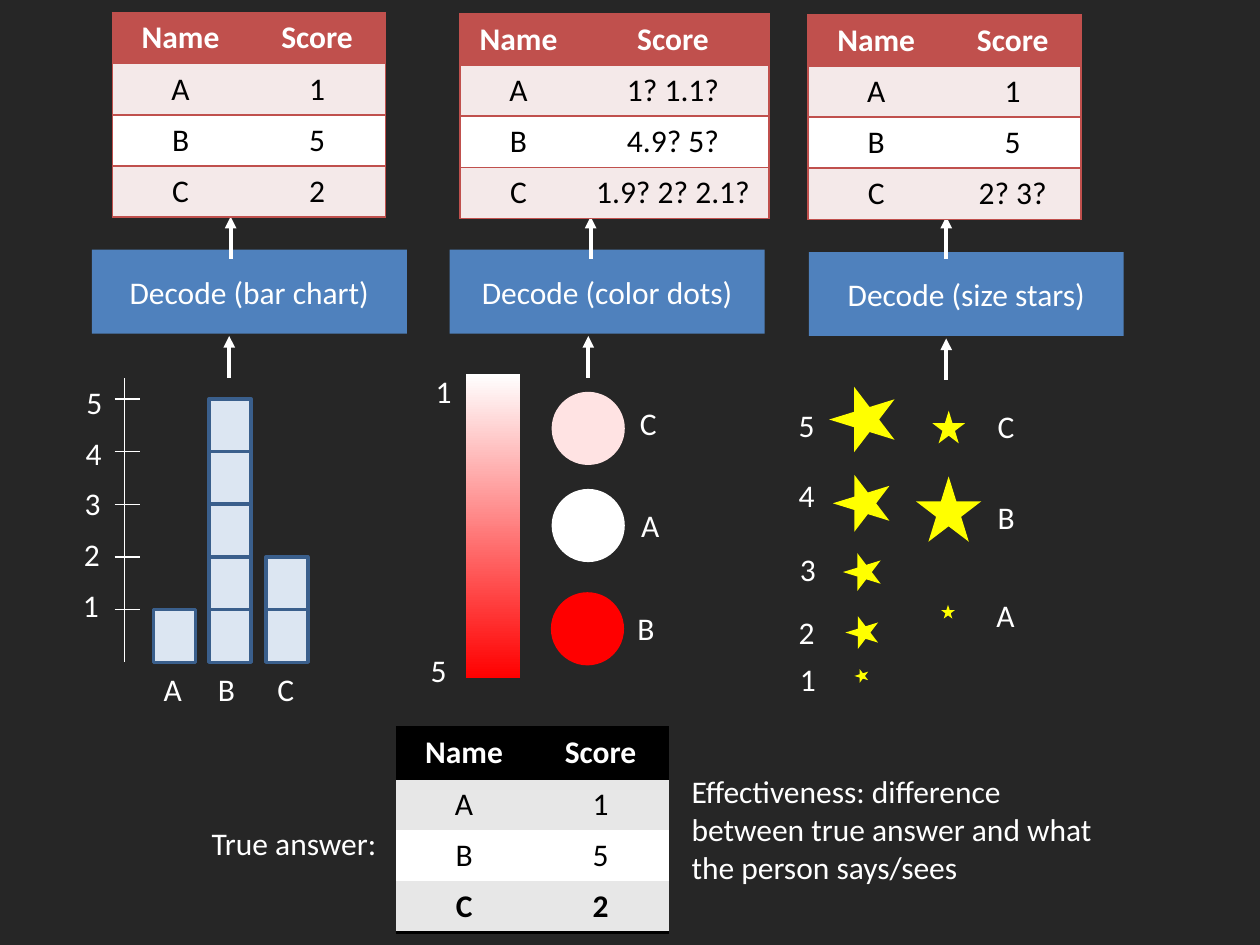
from dataclasses import dataclass
from typing import NamedTuple, Optional

from lxml import etree
from pptx import Presentation
from pptx.dml.color import RGBColor
from pptx.enum.shapes import MSO_CONNECTOR, MSO_SHAPE
from pptx.enum.text import MSO_ANCHOR, MSO_AUTO_SIZE, PP_ALIGN
from pptx.oxml.ns import qn
from pptx.util import Pt

RECTANGLE, OVAL, STAR = MSO_SHAPE.RECTANGLE, MSO_SHAPE.OVAL, MSO_SHAPE.STAR_5_POINT
STRAIGHT = MSO_CONNECTOR.STRAIGHT
LEFT, CENTER, MIDDLE = PP_ALIGN.LEFT, PP_ALIGN.CENTER, MSO_ANCHOR.MIDDLE
FIT_TEXT = MSO_AUTO_SIZE.SHAPE_TO_FIT_TEXT
NO_GRID_STYLE = "{2D5ABB26-0587-4C30-8999-92F81FD0307C}"


@dataclass(frozen=True)
class Theme:
    font: str = "Calibri"
    size: float = 18
    background: RGBColor = RGBColor(0x26, 0x26, 0x26)
    white: RGBColor = RGBColor(0xFF, 0xFF, 0xFF)
    black: RGBColor = RGBColor(0, 0, 0)
    blue: RGBColor = RGBColor(0x4F, 0x81, 0xBD)
    bar: RGBColor = RGBColor(0xDC, 0xE6, 0xF2)
    bar_edge: RGBColor = RGBColor(0x3A, 0x5F, 0x8C)
    red: RGBColor = RGBColor(0xFF, 0, 0)
    pink: RGBColor = RGBColor(0xFF, 0xE3, 0xE3)
    yellow: RGBColor = RGBColor(0xFF, 0xFF, 0)
    brick: RGBColor = RGBColor(0xC0, 0x50, 0x4D)
    brick_band: RGBColor = RGBColor(0xF4, 0xE9, 0xE9)
    gray_band: RGBColor = RGBColor(0xE7, 0xE7, 0xE7)


THEME = Theme()


class Label(NamedTuple):
    text: str
    left: float
    top: float


class Mark(NamedTuple):
    left: float
    top: float
    size: float
    color: RGBColor = THEME.yellow
    rotation: float = 0


@dataclass(frozen=True)
class ScoreTable:
    left: float
    top: float
    widths: tuple
    scores: tuple
    header: RGBColor = THEME.brick
    band: RGBColor = THEME.brick_band
    grid: bool = True
    bold_last: bool = False


@dataclass(frozen=True)
class Decoder:
    text: str
    left: float
    top: float
    arrow_in: float
    arrow_out: float


ROW_HEIGHT = 29.2
BASELINE, UNIT = 378.5, 30.1
BARS = ((87.8, 1), (119.5, 5), (151.9, 2))
DECODERS = (
    Decoder("Decode (bar chart)", 52.5, 142.6, 131, 131.8),
    Decoder("Decode (color dots)", 257, 142.6, 336.2, 337.5),
    Decoder("Decode (size stars)", 462.2, 144, 540.7, 540.7),
)
TABLES = (
    ScoreTable(64.2, 7.2, (78, 78), ("1", "5", "2")),
    ScoreTable(262.8, 8, (67, 109.6), ("1? 1.1?", "4.9? 5?", "1.9? 2? 2.1?")),
    ScoreTable(461.7, 8.5, (78, 78), ("1", "5", "2? 3?")),
    ScoreTable(226.2, 415.8, (78, 78), ("1", "5", "2"),
               THEME.black, THEME.gray_band, False, True),
)
DOTS = (
    Mark(315.2, 223.9, 41.8, THEME.pink),
    Mark(315.2, 279.4, 41.8, THEME.white),
    Mark(314.8, 338.4, 41.8, THEME.red),
)
STARS = (
    Mark(537.8, 345.6, 7.9), Mark(532.8, 234.7, 18.7), Mark(523.4, 272.2, 37.4),
    Mark(488.2, 382.3, 7.9, rotation=270), Mark(483.1, 352.1, 18.7, rotation=270),
    Mark(481.7, 316.1, 21.6, rotation=270), Mark(475.9, 271.4, 32.4, rotation=270),
    Mark(473.8, 221, 37.4, rotation=270),
)
LABELS = (
    Label("5", 239, 368.6), Label("1", 241.9, 208.8),
    Label("C", 358.6, 227.5), Label("A", 359.3, 285.8), Label("B", 357.1, 344.2),
    Label("C", 563, 229), Label("B", 563, 280.8), Label("A", 562.3, 337),
    Label("5", 449.3, 228.2), Label("4", 449.3, 268.6), Label("3", 450, 311),
    Label("2", 449.3, 347), Label("1", 450, 373.7),
)


def write_text(frame, text: str, *, color=THEME.white, bold=False, align=LEFT, tabs=()) -> None:
    paragraph = frame.paragraphs[0]
    paragraph.text = text
    paragraph.alignment = align
    if tabs:
        tab_list = etree.SubElement(paragraph._p.get_or_add_pPr(), qn("a:tabLst"))
        for stop in tabs:
            etree.SubElement(tab_list, qn("a:tab"), pos=str(int(Pt(stop))), algn="l")
    font = paragraph.runs[0].font if not tabs else paragraph.font
    font.name, font.size, font.bold = THEME.font, Pt(THEME.size), bold
    font.color.rgb = color


def add_label(slide, label: Label, width=24, height=29, wrap=False, tabs=()) -> None:
    box = slide.shapes.add_textbox(Pt(label.left), Pt(label.top), Pt(width), Pt(height))
    box.text_frame.word_wrap = wrap
    box.text_frame.auto_size = FIT_TEXT
    write_text(box.text_frame, label.text, tabs=tabs)


def add_figure(slide, kind, left, top, width, height, fill=None, edge=None):
    figure = slide.shapes.add_shape(kind, Pt(left), Pt(top), Pt(width), Pt(height))
    figure.shadow.inherit = False
    if fill is not None:
        figure.fill.solid()
        figure.fill.fore_color.rgb = fill
    if edge is None:
        figure.line.fill.background()
    else:
        figure.line.color.rgb = edge
        figure.line.width = Pt(2)
    return figure


def add_mark(slide, kind, mark: Mark) -> None:
    figure = add_figure(slide, kind, mark.left, mark.top, mark.size, mark.size, mark.color)
    figure.rotation = mark.rotation


def add_line(slide, x1, y1, x2, y2, width=0.75, arrow=False) -> None:
    line = slide.shapes.add_connector(STRAIGHT, Pt(x1), Pt(y1), Pt(x2), Pt(y2))
    line.line.color.rgb = THEME.white
    line.line.width = Pt(width)
    if arrow:
        etree.SubElement(line.line._get_or_add_ln(), qn("a:headEnd"), type="triangle")
    etree.SubElement(line._element.spPr, qn("a:effectLst"))


def add_border(cell, side: str, color: RGBColor, width: float) -> None:
    border = etree.SubElement(cell._tc.get_or_add_tcPr(), qn(f"a:ln{side}"), w=str(int(Pt(width))))
    fill = etree.SubElement(border, qn("a:solidFill"))
    etree.SubElement(fill, qn("a:srgbClr"), val=str(color))


def border_sides(spec_grid: bool, row: int, column: int, last: int) -> str:
    if spec_grid:
        return ("L" if column == 0 else "R") + "TB"
    return {0: "TB", last: "B"}.get(row, "")


def add_score_table(slide, scores: ScoreTable) -> None:
    rows = (("Name", "Score"), *zip("ABC", scores.scores))
    last = len(rows) - 1
    table = slide.shapes.add_table(len(rows), 2, Pt(scores.left), Pt(scores.top),
                                   Pt(sum(scores.widths)), Pt(ROW_HEIGHT * len(rows))).table
    table._tbl.tblPr.find(qn("a:tableStyleId")).text = NO_GRID_STYLE
    for column, width in zip(table.columns, scores.widths):
        column.width = Pt(width)
    for r, values in enumerate(rows):
        table.rows[r].height = Pt(ROW_HEIGHT)
        for c, value in enumerate(values):
            cell = table.cell(r, c)
            for side in border_sides(scores.grid, r, c, last):
                add_border(cell, side, scores.header, 1 if scores.grid else 2)
            cell.fill.solid()
            cell.fill.fore_color.rgb = (scores.header if r == 0 else
                                        scores.band if r % 2 else THEME.white)
            write_text(cell.text_frame, value, align=CENTER,
                       color=THEME.black if r else THEME.white,
                       bold=r == 0 or (scores.bold_last and r == last))


def add_decoder(slide, decoder: Decoder) -> None:
    box = add_figure(slide, RECTANGLE, decoder.left, decoder.top, 180, 48, THEME.blue)
    box.text_frame.vertical_anchor = MIDDLE
    write_text(box.text_frame, decoder.text, align=CENTER)
    below = decoder.top + 49.4
    add_line(slide, decoder.arrow_in, below, decoder.arrow_in, below + 24, 2.25, True)
    add_line(slide, decoder.arrow_out, 123.8, decoder.arrow_out, 148.3, 2.25, True)


def add_bar_chart(slide) -> None:
    for left, score in BARS:
        for level in range(1, score + 1):
            add_figure(slide, RECTANGLE, left, BASELINE - level * UNIT, 24, UNIT,
                       THEME.bar, THEME.bar_edge)
    add_label(slide, Label("A\tB\tC", 86.4, 379.4), 90.7, tabs=(31, 65))
    add_line(slide, 71.3, 378, 71.3, 216)
    for level in range(1, 6):
        tick = BASELINE - level * UNIT
        add_line(slide, 65.5, tick, 79.9, tick)
        add_label(slide, Label(str(level), 39.8 + level * 0.5, 360.2 - level * 29))


def add_color_scale(slide) -> None:
    scale = add_figure(slide, RECTANGLE, 194.4, 285.1, 174.2, 31)
    scale.rotation = 90
    scale.fill.gradient()
    scale.fill.gradient_angle = 180
    for stop, color in zip(scale.fill.gradient_stops, (THEME.red, THEME.white)):
        stop.color.rgb = color


def main() -> None:
    deck = Presentation()
    deck.slide_width, deck.slide_height = Pt(720), Pt(540)
    slide = deck.slides.add_slide(deck.slide_layouts[6])
    slide.background.fill.solid()
    slide.background.fill.fore_color.rgb = THEME.background
    add_bar_chart(slide)
    add_color_scale(slide)
    for kind, marks in ((OVAL, DOTS), (STAR, STARS)):
        for mark in marks:
            add_mark(slide, kind, mark)
    for label in LABELS:
        add_label(slide, label)
    for decoder in DECODERS:
        add_decoder(slide, decoder)
    for scores in TABLES:
        add_score_table(slide, scores)
    add_label(slide, Label("True answer:", 113.8, 467.3), 110)
    add_label(slide, Label("Effectiveness: difference between true answer and what "
                           "the person says/sees", 388.1, 437.8), 245.5, 72.7, wrap=True)
    deck.save("out.pptx")


if __name__ == "__main__":
    main()
